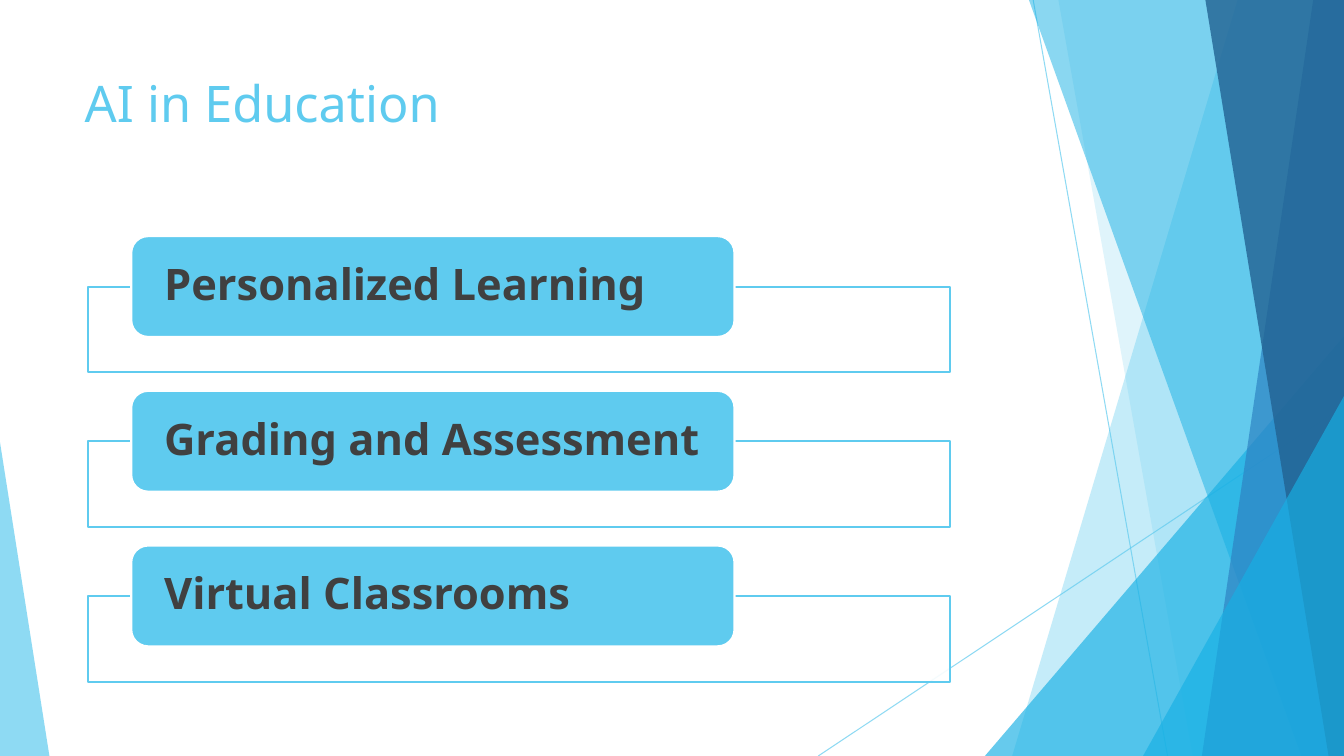
from lxml.etree import SubElement
from pptx import Presentation
from pptx.dml.color import RGBColor
from pptx.enum.shapes import MSO_CONNECTOR as Link, MSO_SHAPE as Kind
from pptx.enum.text import MSO_ANCHOR as Anchor, MSO_AUTO_SIZE as Fit, PP_ALIGN as Align
from pptx.oxml.ns import qn
from pptx.util import Pt

WIDE, HIGH = 960, 540
FONT = "Noto Sans"
HUES = {
    "sky": "5FCBEF",
    "aqua": "17B0E4",
    "blue": "2E83C3",
    "navy": "226292",
    "white": "FFFFFF",
    "ink": "404040",
}


def hue(name):
    return RGBColor.from_string(HUES[name])


def fade(shape, alpha):
    """Set the opacity, in percent, of every colour the shape has so far."""
    for node in shape._element.spPr.iter(qn("a:srgbClr")):
        SubElement(node, qn("a:alpha"), val=str(alpha * 1000))


def paint(shape, fill, alpha=100, line=None):
    shape.shadow.inherit = False
    shape.fill.solid()
    shape.fill.fore_color.rgb = hue(fill)
    if alpha < 100:
        fade(shape, alpha)
    if line:
        shape.line.color.rgb = hue(line)
        shape.line.width = Pt(1.5)
    else:
        shape.line.fill.background()


def block(slide, kind, box):
    return slide.shapes.add_shape(kind, *map(Pt, box))


def write(shape, text, size, color, bold=False, anchor=Anchor.TOP,
          inset=(7.2, 3.6), space=1.0):
    frame = shape.text_frame
    frame.word_wrap = True
    frame.auto_size = Fit.NONE
    frame.vertical_anchor = anchor
    frame.margin_left = frame.margin_right = Pt(inset[0])
    frame.margin_top = frame.margin_bottom = Pt(inset[1])
    para = frame.paragraphs[0]
    para.alignment = Align.LEFT
    para.line_spacing = space
    run = para.add_run()
    run.text = text
    font = run.font
    font.name, font.size, font.bold = FONT, Pt(size), bold
    font.color.rgb = hue(color)


def streak(slide, start, end):
    line = slide.shapes.add_connector(Link.STRAIGHT, *map(Pt, start + end))
    line.line.color.rgb = hue("sky")
    line.line.width = Pt(0.75)
    fade(line, 70)
    SubElement(line._element.spPr, qn("a:effectLst"))


def shard(slide, top, foot, fill, alpha):
    """Fill from a slanted left edge to the right side of the slide."""
    path = slide.shapes.build_freeform(Pt(top), 0)
    path.add_line_segments([(Pt(WIDE), 0), (Pt(WIDE), Pt(HIGH)), (Pt(foot), Pt(HIGH))])
    paint(path.convert_to_shape(), fill, alpha)


def wedge(slide, left, top, width, peak, fill, alpha):
    """Stand a triangle on the foot of the slide; peak 0 is left, 1 is right."""
    shape = block(slide, Kind.ISOSCELES_TRIANGLE, (left, top, width, HIGH - top))
    shape.adjustments[0] = peak
    paint(shape, fill, alpha)


def decor(slide):
    streak(slide, (738, 0), (834, HIGH))
    streak(slide, (WIDE, 290), (584.5, HIGH))
    shard(slide, 884, 723, "sky", 36)
    shard(slide, 756, 852, "sky", 20)
    wedge(slide, 703.5, 240, WIDE - 703.5, 1, "aqua", 66)
    shard(slide, 735, 929.5, "aqua", 50)
    shard(slide, 938, 858.5, "blue", 70)
    shard(slide, 861, 949, "navy", 80)
    wedge(slide, 816.5, 283, WIDE - 816.5, 1, "aqua", 66)
    wedge(slide, 0, 316, 35.3, 0, "sky", 70)


def heading(slide, box, text):
    title = slide.shapes.title
    title.left, title.top, title.width, title.height = map(Pt, box)
    write(title, text, 36, "sky")


def topic(slide, box, text):
    left, top, width, height = box
    tab = 72
    drop = tab / 2
    frame = block(slide, Kind.RECTANGLE, (left, top + drop, width, height - drop))
    paint(frame, "white", 90, line="sky")
    label = block(slide, Kind.ROUNDED_RECTANGLE,
                  (left + width * 0.05, top, width * 0.7, tab))
    paint(label, "sky", line="white")
    write(label, text, 31, "ink", bold=True, anchor=Anchor.MIDDLE,
          inset=(20, 0), space=0.9)


def topics(slide, box, names):
    left, top, width, height = box
    gap = 13.3
    each = (height - gap * (len(names) - 1)) / len(names)
    for i, name in enumerate(names):
        topic(slide, (left, top + i * (each + gap), width, each), name)


def main():
    deck = Presentation()
    deck.slide_width, deck.slide_height = Pt(WIDE), Pt(HIGH)
    slide = deck.slides.add_slide(deck.slide_layouts.get_by_name("Title Only"))
    decor(slide)
    heading(slide, (53.3, 48, 677, 104), "AI in Education")
    topics(slide, (63, 168.7, 615.6, 318.2),
           ["Personalized Learning", "Grading and Assessment", "Virtual Classrooms"])
    deck.save("out.pptx")


if __name__ == "__main__":
    main()
